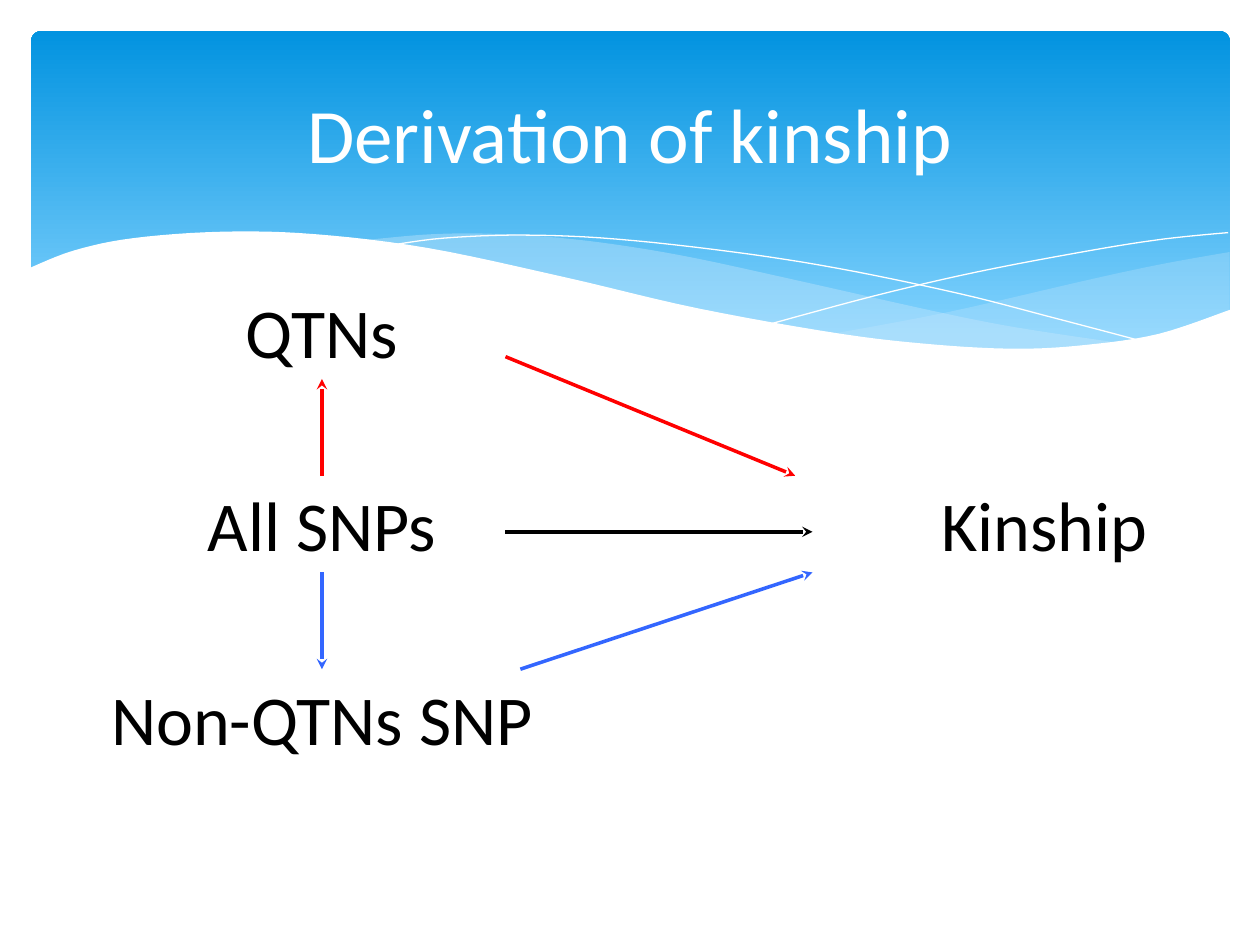
from dataclasses import dataclass

import pptx
import pptx.dml.color
import pptx.enum.shapes
import pptx.enum.text
import pptx.oxml
import pptx.oxml.ns
import pptx.util

Cm = pptx.util.Cm
Pt = pptx.util.Pt


@dataclass(frozen=True)
class Theme:
    font: str = "Calibri"
    title_size: int = 44
    label_size: int = 40
    arrow_width: float = 2
    ripple_width: float = 0.75
    white: str = "FFFFFF"
    ink: str = "000000"
    sky_light: str = "83D3FE"
    sky_deep: str = "0293E0"
    wave: str = "C6E7FC"
    qtn: str = "FF0000"
    non_qtn: str = "3366FF"


THEME = Theme()

RIGHT_CREST = [(16.15, 6.1), (18.49, 5.66), (21.23, 5.03), (22.76, 4.7), (24.16, 4.45)]
RIGHT_TROUGH = [(24.16, 5.64), (22.76, 6.1), (21.06, 6.38), (19.48, 6.4), (17.96, 6.32), (16.15, 6.1)]
MIDDLE_CREST = [(6.63, 4.22), (8.1, 4.09), (9.5, 4.09), (11.18, 4.22), (13.11, 4.52),
                (15.34, 5), (18.19, 5.64), (19.86, 5.97), (22.05, 6.3)]
MIDDLE_TROUGH = [(22.05, 6.3), (20.4, 6.43), (18.36, 6.38), (16.26, 6.12), (13.74, 5.66),
                 (10.77, 5), (8.56, 4.52), (6.63, 4.22)]
FALLING_RIPPLE = [(7.21, 4.32), (8.33, 4.17), (9.93, 4.11), (11.79, 4.19), (14.15, 4.45),
                  (16.26, 4.78), (18.67, 5.28), (20.47, 5.74), (22.4, 6.25)]
RISING_RIPPLE = [(14.94, 5.89), (17.02, 5.33), (19.08, 4.85), (21.36, 4.42), (22.83, 4.19), (24.13, 4.06)]
SHORE = [(-0.05, 4.78), (0.86, 4.42), (2.06, 4.17), (3.86, 4.04), (5.72, 4.09), (8, 4.37),
         (10.72, 4.95), (13.46, 5.59), (16.33, 6.1), (18.26, 6.32), (19.91, 6.4),
         (21.29, 6.32), (22.73, 6.1), (24.18, 5.61)]
SHORE_BASE = [(24.18, 7.72), (-0.05, 7.72)]


def color(value):
    return pptx.dml.color.RGBColor.from_string(value)


def smooth(knots, steps=6):
    padded = [knots[0], *knots, knots[-1]]
    points = [knots[0]]
    for a, b, c, d in zip(padded, padded[1:], padded[2:], padded[3:]):
        for step in range(1, steps + 1):
            t = step / steps
            points.append(tuple(
                (2 * q + (r - p) * t + (2 * p - 5 * q + 4 * r - s) * t ** 2
                 + (3 * q - p - 3 * r + s) * t ** 3) / 2
                for p, q, r, s in zip(a, b, c, d)))
    return points


def add_outline(slide, left, top, points, closed):
    places = [(Cm(left + x), Cm(top + y)) for x, y in points]
    builder = slide.shapes.build_freeform(*places[0])
    builder.add_line_segments(places[1:], close=closed)
    outline = builder.convert_to_shape()
    outline.shadow.inherit = False
    return outline


def add_wave(slide, left, top, points, fill, opacity=100):
    wave = add_outline(slide, left, top, points, True)
    wave.fill.solid()
    wave.fill.fore_color.rgb = color(fill)
    wave.line.fill.background()
    if opacity < 100:
        tint = wave.fill._xPr.find(".//" + pptx.oxml.ns.qn("a:srgbClr"))
        tint.append(pptx.oxml.parse_xml(
            f'<a:alpha {pptx.oxml.ns.nsdecls("a")} val="{opacity * 1000}"/>'))


def add_ripple(slide, left, top, points):
    ripple = add_outline(slide, left, top, points, False)
    ripple.fill.background()
    ripple.line.color.rgb = color(THEME.white)
    ripple.line.width = Pt(THEME.ripple_width)


def add_banner(slide, left, top, width, height):
    sky = slide.shapes.add_shape(
        pptx.enum.shapes.MSO_SHAPE.ROUNDED_RECTANGLE, Cm(left), Cm(top), Cm(width), Cm(height))
    sky.adjustments[0] = 0.03
    sky.shadow.inherit = False
    sky.line.fill.background()
    sky.fill.gradient()
    sky.fill.gradient_angle = 90
    stops = ((0.1, THEME.sky_light), (1, THEME.sky_deep))
    for stop, (position, shade) in zip(sky.fill.gradient_stops, stops):
        stop.position = position
        stop.color.rgb = color(shade)

    add_wave(slide, left, top, smooth(RIGHT_CREST) + smooth(RIGHT_TROUGH), THEME.wave, 29)
    add_wave(slide, left, top, smooth(MIDDLE_CREST) + smooth(MIDDLE_TROUGH), THEME.wave, 40)
    for ripple in (FALLING_RIPPLE, RISING_RIPPLE):
        add_ripple(slide, left, top, smooth(ripple))
    add_wave(slide, left, top, smooth(SHORE) + SHORE_BASE, THEME.white)


def write(holder, text, size, shade):
    frame = holder.text_frame
    frame.word_wrap = True
    frame.text = text
    line = frame.paragraphs[0]
    line.alignment = pptx.enum.text.PP_ALIGN.CENTER
    font = line.runs[0].font
    font.name = THEME.font
    font.size = Pt(size)
    font.color.rgb = color(shade)


def place_title(slide, left, top, width, height, text):
    title = slide.shapes.title
    title.left, title.top, title.width, title.height = map(Cm, (left, top, width, height))
    write(title, text, THEME.title_size, THEME.white)
    title.text_frame.vertical_anchor = pptx.enum.text.MSO_ANCHOR.MIDDLE
    slide.shapes._spTree.append(title._element)


def add_label(slide, left, top, width, height, text):
    label = slide.shapes.add_textbox(Cm(left), Cm(top), Cm(width), Cm(height))
    write(label, text, THEME.label_size, THEME.ink)
    return label


def add_arrow(slide, start, end, shade):
    arrow = slide.shapes.add_connector(
        pptx.enum.shapes.MSO_CONNECTOR.STRAIGHT, *map(Cm, start + end))
    arrow.line.color.rgb = color(shade)
    arrow.line.width = Pt(THEME.arrow_width)
    namespace = pptx.oxml.ns.nsdecls("a")
    arrow.line._get_or_add_ln().append(
        pptx.oxml.parse_xml(f'<a:tailEnd {namespace} type="stealth"/>'))
    arrow._element.spPr.append(pptx.oxml.parse_xml(f"<a:effectLst {namespace}/>"))
    return arrow


def add_kinship_diagram(slide, left, top):
    pitch, row_height = 3.9, 1.95
    qtns = add_label(slide, left + 0.79, top, 8.86, row_height, "QTNs")
    all_snps = add_label(slide, left + 0.79, top + pitch, 8.86, row_height, "All SNPs")
    non_qtns = add_label(slide, left, top + 2 * pitch, 10.44, 3.63, "Non-QTNs SNP")
    add_label(slide, left + 16.23, top + pitch, 7.11, row_height, "Kinship")

    center = left + 5.22
    splits = ((pitch, row_height, 0, qtns, 2, THEME.qtn),
              (pitch + row_height, 2 * pitch, 2, non_qtns, 0, THEME.non_qtn))
    for start, end, exit_side, subset, entry_side, shade in splits:
        split = add_arrow(slide, (center, top + start), (center, top + end), shade)
        split.begin_connect(all_snps, exit_side)
        split.end_connect(subset, entry_side)

    derivations = (((8.92, 1.5), (14.76, pitch), THEME.qtn),
                   ((9.22, 2 * pitch), (15.11, pitch + row_height), THEME.non_qtn),
                   ((8.92, 5.03), (15.11, 5.03), THEME.ink))
    for (x1, y1), (x2, y2), shade in derivations:
        add_arrow(slide, (left + x1, top + y1), (left + x2, top + y2), shade)


def main():
    deck = pptx.Presentation()
    deck.slide_width, deck.slide_height = Cm(25.4), Cm(19.05)
    slide = deck.slides.add_slide(deck.slide_layouts[5])
    add_banner(slide, 0.63, 0.63, 24.16, 6.86)
    place_title(slide, 1.27, 0.94, 22.86, 3.48, "Derivation of kinship")
    add_kinship_diagram(slide, 1.27, 5.69)
    deck.save("out.pptx")


if __name__ == "__main__":
    main()
